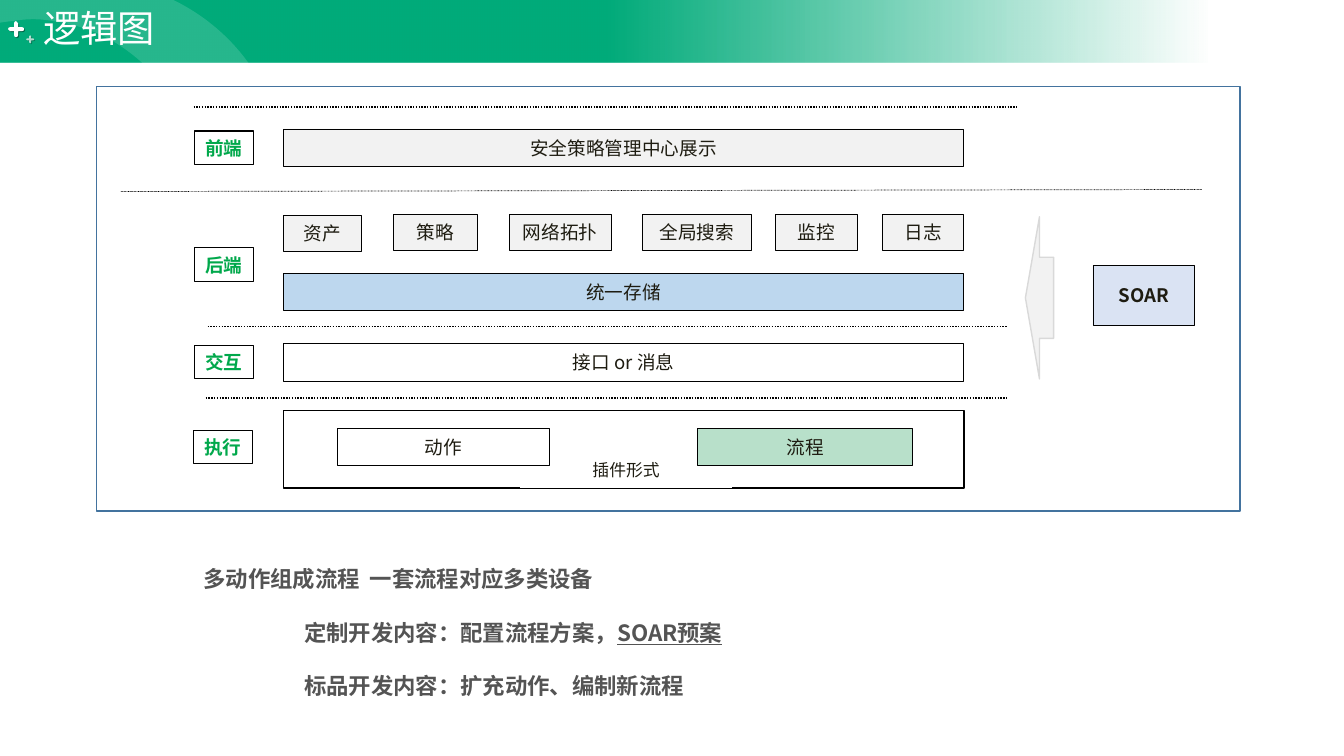
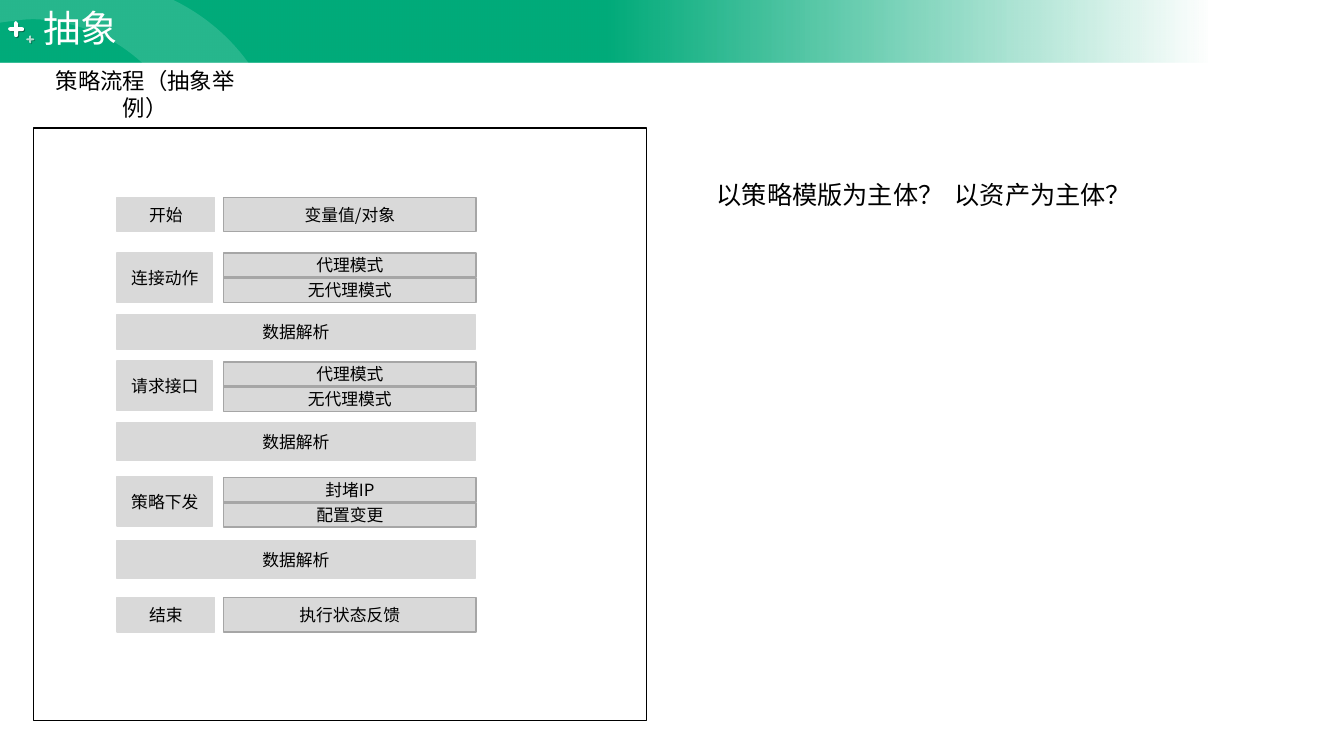
"""Build two slides on a security policy platform: its logic diagram and an abstract flow."""
from dataclasses import dataclass

from lxml.etree import SubElement
from pptx import Presentation
from pptx.dml.color import RGBColor
from pptx.enum.dml import MSO_LINE
from pptx.enum.shapes import MSO_CONNECTOR, MSO_SHAPE
from pptx.enum.text import MSO_ANCHOR, PP_ALIGN
from pptx.oxml.ns import qn
from pptx.util import Inches, Pt


@dataclass(frozen=True)
class Theme:
    """Hold the colours, fonts and type sizes."""

    brand: str = "00AB7A"
    label: str = "00A84B"
    white: str = "FFFFFF"
    black: str = "000000"
    ink: str = "1E1C11"
    body: str = "545454"
    frame: str = "43739E"
    pale: str = "F2F2F2"
    grey: str = "D9D9D9"
    edge: str = "A6A6A6"
    storage: str = "BDD7EE"
    process: str = "B8E0CA"
    external: str = "DAE3F3"
    font: str = "Noto Sans CJK SC"
    title_font: str = "Arial"
    title_size: float = 26.6
    question_size: float = 18
    body_size: float = 16
    box_size: float = 13.3
    small_size: float = 12


THEME = Theme()
SLIDE_WIDTH, SLIDE_HEIGHT = 13.33, 7.5
BAND_HEIGHT = 0.62
ARC_START = (2.51, 0.69)
ARC_CURVES = [
    ((1.9, -0.23), (0.61, -0.5), (-0.33, 0.13)),
    ((-0.27, 0.3), (-0.27, 0.3), (-0.27, 0.3)),
    ((-0.1, 0.24), (0.01, 0.22), (0.12, 0.21)),
    ((0.24, 0.19), (0.37, 0.18), (0.53, 0.21)),
    ((0.69, 0.23), (0.86, 0.28), (1.03, 0.36)),
    ((1.19, 0.44), (1.35, 0.56), (1.47, 0.68)),
    ((1.61, 0.79), (1.69, 0.9), (1.79, 0.99)),
    ((1.88, 1.07), (1.95, 1.12), (2.03, 1.16)),
    ((2.27, 1.24), (2.44, 1.15), (2.51, 1.07)),
    ((2.6, 1.0), (2.57, 0.79), (2.51, 0.69)),
]


def color(value):
    """Turn a hex string into a colour."""
    return RGBColor.from_string(value)


def format_run(run, size, ink, bold=False, font=THEME.font):
    """Set the typeface, size, weight and colour of a run, and widen a gap."""
    run.font.name = font
    run.font.size = Pt(size)
    run.font.bold = bold
    run.font.color.rgb = color(ink)
    properties = run.font._element
    SubElement(properties, qn("a:ea")).set("typeface", font)
    if run.text == " ":
        properties.set("spc", str(round(size * 22)))


def paint(shape, fill=None, line=None, width=0.5):
    """Give a shape its fill and outline, without a shadow."""
    shape.shadow.inherit = False
    if fill:
        shape.fill.solid()
        shape.fill.fore_color.rgb = color(fill)
    else:
        shape.fill.background()
    if line:
        shape.line.color.rgb = color(line)
        shape.line.width = Pt(width)
    else:
        shape.line.fill.background()


def set_alpha(shape, percent):
    """Set the opacity of the last colour in a shape."""
    last_color = list(shape.element.iter(qn("a:srgbClr")))[-1]
    SubElement(last_color, qn("a:alpha")).set("val", str(percent * 1000))


def add_drop_shadow(shape):
    """Cast a small hard shadow to the lower right."""
    effects = shape.element.spPr.find(qn("a:effectLst"))
    shadow = SubElement(effects, qn("a:outerShdw"), blurRad="0", dist=str(Pt(1)), dir="2700000")
    shadow_color = SubElement(shadow, qn("a:srgbClr"), val=THEME.black)
    SubElement(shadow_color, qn("a:alpha"), val="40000")


def add_pieces(paragraph, pieces):
    """Add one run for each piece of text."""
    for piece in pieces:
        paragraph.add_run().text = piece


def write_text(shape, pieces, size, ink, bold=False, align=PP_ALIGN.CENTER, font=THEME.font):
    """Write one vertically centred paragraph into a shape."""
    frame = shape.text_frame
    frame.word_wrap = True
    frame.vertical_anchor = MSO_ANCHOR.MIDDLE
    paragraph = frame.paragraphs[0]
    paragraph.alignment = align
    add_pieces(paragraph, pieces)
    for run in paragraph.runs:
        format_run(run, size, ink, bold, font)


def add_preset(slide, bounds, kind=MSO_SHAPE.RECTANGLE, **style):
    """Add a preset shape without text."""
    shape = slide.shapes.add_shape(kind, *map(Inches, bounds))
    paint(shape, **style)
    return shape


def add_box(slide, bounds, text, fill=THEME.pale, line=THEME.black, width=0.5,
            size=THEME.box_size, ink=THEME.ink, bold=False):
    """Add a rectangle with a centred caption."""
    box = add_preset(slide, bounds, fill=fill, line=line, width=width)
    write_text(box, [text], size, ink, bold)


def add_text(slide, bounds, pieces, size, ink, align=PP_ALIGN.LEFT, font=THEME.font):
    """Add a one-paragraph text box."""
    box = slide.shapes.add_textbox(*map(Inches, bounds))
    write_text(box, pieces, size, ink, align=align, font=font)


def add_divider(slide, start, end, width=1):
    """Add a dotted line between two points."""
    divider = slide.shapes.add_connector(MSO_CONNECTOR.STRAIGHT, *map(Inches, start + end))
    divider.line.color.rgb = color(THEME.black)
    divider.line.width = Pt(width)
    divider.line.dash_style = MSO_LINE.ROUND_DOT
    SubElement(divider.element.spPr, qn("a:effectLst"))


def add_curved_outline(slide, start, curves, alpha):
    """Add a closed white outline of cubic curves with the given opacity."""
    builder = slide.shapes.build_freeform(*map(Inches, start))
    controls = [tuple(map(Inches, point)) for curve in curves for point in curve]
    builder.add_line_segments(controls, close=True)
    shape = builder.convert_to_shape()
    segments = list(shape.element.iter(qn("a:lnTo")))
    outline = segments[0].getparent()
    closing = outline.find(qn("a:close"))
    for first in range(0, len(curves) * 3, 3):
        curve = SubElement(outline, qn("a:cubicBezTo"))
        for segment in segments[first:first + 3]:
            curve.append(segment[0])
            outline.remove(segment)
    for leftover in outline.findall(qn("a:lnTo")):
        outline.remove(leftover)
    outline.append(closing)
    paint(shape, fill=THEME.white)
    set_alpha(shape, alpha)
    return shape


def plus_curves(center_x, center_y, reach):
    """Return the start and curves of a plus sign with rounded arms."""
    half = reach / 4
    neck, bend = reach - half, half * 0.55
    arm = [
        ((neck, -half),) * 3,
        ((neck + bend, -half), (reach, -bend), (reach, 0)),
        ((reach, bend), (neck + bend, half), (neck, half)),
        ((half, half),) * 3,
    ]
    curves = [
        tuple((center_x + u * c - v * s, center_y + u * s + v * c) for u, v in curve)
        for c, s in ((1, 0), (0, 1), (-1, 0), (0, -1))
        for curve in arm
    ]
    return (center_x + half, center_y - half), curves


def add_titled_slide(presentation, title):
    """Add a slide with the green title band."""
    slide = presentation.slides.add_slide(presentation.slide_layouts[6])
    band = add_preset(slide, (0, 0, SLIDE_WIDTH, BAND_HEIGHT))
    band.fill.gradient()
    band.fill.gradient_angle = 0
    for stop, position in zip(band.fill.gradient_stops, (0.45, 0.9)):
        stop.position = position
        stop.color.rgb = color(THEME.brand)
    set_alpha(band, 0)
    for plus, alpha in (((0.16, 0.29, 0.08), 100), ((0.3, 0.39, 0.04), 70)):
        add_drop_shadow(add_curved_outline(slide, *plus_curves(*plus), alpha))
    add_curved_outline(slide, ARC_START, ARC_CURVES, 15)
    add_text(slide, (0.33, 0, 0.21 + 0.37 * len(title), 0.55), [title], THEME.title_size,
             THEME.white, font=THEME.title_font)
    return slide


def add_statements(slide):
    """Add the three statements below the diagram."""
    frame = slide.shapes.add_textbox(*map(Inches, (1.92, 5.29, 8.91, 1.74))).text_frame
    frame.word_wrap = True
    statements = [
        (0, ["多动作组成流程", " ", "一套流程对应多类设备"]),
        (1, ["定制开发内容：配置流程方案，", "SOAR预案"]),
        (1, ["标品开发内容：扩充动作、编制新流程"]),
    ]
    for index, (indent, pieces) in enumerate(statements):
        paragraph = frame.add_paragraph() if index else frame.paragraphs[0]
        paragraph.line_spacing = 2.0
        paragraph._p.get_or_add_pPr().set("marL", str(Inches(indent)))
        add_pieces(paragraph, pieces)
        for run in paragraph.runs:
            format_run(run, THEME.body_size, THEME.body, bold=True)
    frame.paragraphs[1].runs[1].font.underline = True


def build_logic_slide(presentation):
    """Build the layered logic diagram."""
    slide = add_titled_slide(presentation, "逻辑图")
    left, width, height = 2.81, 6.75, 0.37
    add_preset(slide, (left, 4.07, width, 0.77), fill=THEME.white, line=THEME.black, width=1)
    add_preset(slide, (0.96, 0.86, 11.34, 4.21), line=THEME.frame, width=1)
    for start, end, weight in [((1.92, 1.06), (10.1, 1.06), 1), ((1.2, 1.9), (11.92, 1.88), 0.5),
                               ((2.06, 3.24), (9.99, 3.24), 1), ((2.04, 3.95), (9.98, 3.95), 1)]:
        add_divider(slide, start, end, weight)
    for text, label_left, top in [("前端", 1.93, 1.3), ("后端", 1.93, 2.46),
                                  ("交互", 1.93, 3.43), ("执行", 1.92, 4.27)]:
        add_box(slide, (label_left, top, 0.58, 0.33), text, fill=None, width=0.75,
                ink=THEME.label, bold=True)
    for text, top, fill in [("安全策略管理中心展示", 1.28, THEME.pale),
                            ("统一存储", 2.71, THEME.storage),
                            ("接口 or 消息", 3.41, THEME.white)]:
        add_box(slide, (left, top, width, height), text, fill)
    for text, module_left, top, module_width in [
            ("资产", left, 2.14, 0.77), ("策略", 3.9, 2.13, 0.84),
            ("网络拓扑", 5.05, 2.13, 1.01), ("全局搜索", 6.37, 2.13, 1.08),
            ("监控", 7.69, 2.13, 0.81), ("日志", 8.75, 2.13, 0.81)]:
        add_box(slide, (module_left, top, module_width, 0.35), text)
    add_box(slide, (10.84, 2.63, 1.01, 0.6), "SOAR", THEME.external, bold=True)
    add_preset(slide, (10.17, 2.15, 0.28, 1.61), MSO_SHAPE.LEFT_ARROW,
               fill=THEME.pale, line=THEME.grey, width=1)
    add_box(slide, (5.16, 4.48, 2.1, 0.36), "插件形式", THEME.white, line=None,
            size=THEME.small_size)
    add_box(slide, (6.92, 4.25, 2.13, height), "流程", THEME.process)
    add_box(slide, (3.35, 4.25, 2.1, height), "动作", THEME.white)
    add_statements(slide)


def build_flow_slide(presentation):
    """Build the abstract policy flow."""
    slide = add_titled_slide(presentation, "抽象")
    add_preset(slide, (0.33, 1.27, 6.08, 5.88), line=THEME.black, width=1)
    add_text(slide, (0.33, 0.71, 2.22, 0.44), ["策略流程（抽象举例）"], THEME.body_size,
             THEME.black, PP_ALIGN.CENTER)
    style = {"fill": THEME.grey, "width": 1, "size": THEME.small_size, "ink": THEME.black}
    steps = [
        ("开始", 1.96, 0.97, 0.34, 1.96, ["变量值/对象"]),
        ("连接动作", 2.51, 0.95, 0.49, 2.51, ["代理模式", "无代理模式"]),
        ("数据解析", 3.12, 3.55, 0.35, 0, []),
        ("请求接口", 3.58, 0.95, 0.49, 3.59, ["代理模式", "无代理模式"]),
        ("数据解析", 4.19, 3.55, 0.38, 0, []),
        ("策略下发", 4.73, 0.95, 0.49, 4.74, ["封堵IP", "配置变更"]),
        ("数据解析", 5.36, 3.55, 0.38, 0, []),
        ("结束", 5.93, 0.97, 0.34, 5.93, ["执行状态反馈"]),
    ]
    for step, top, width, height, options_top, options in steps:
        add_box(slide, (1.16, top, width, height), step, line=THEME.grey, **style)
        for index, option in enumerate(options):
            option_height = height if len(options) == 1 else 0.24
            add_box(slide, (2.22, options_top + 0.25 * index, 2.5, option_height), option,
                    line=THEME.edge, **style)
    add_text(slide, (7.01, 1.73, 4.38, 0.4), ["以策略模版为主体？", " ", "以资产为主体？"],
             THEME.question_size, THEME.black)


def main():
    """Create and save the presentation."""
    presentation = Presentation()
    presentation.slide_width = Inches(SLIDE_WIDTH)
    presentation.slide_height = Inches(SLIDE_HEIGHT)
    build_logic_slide(presentation)
    build_flow_slide(presentation)
    presentation.save("out.pptx")


if __name__ == "__main__":
    main()
